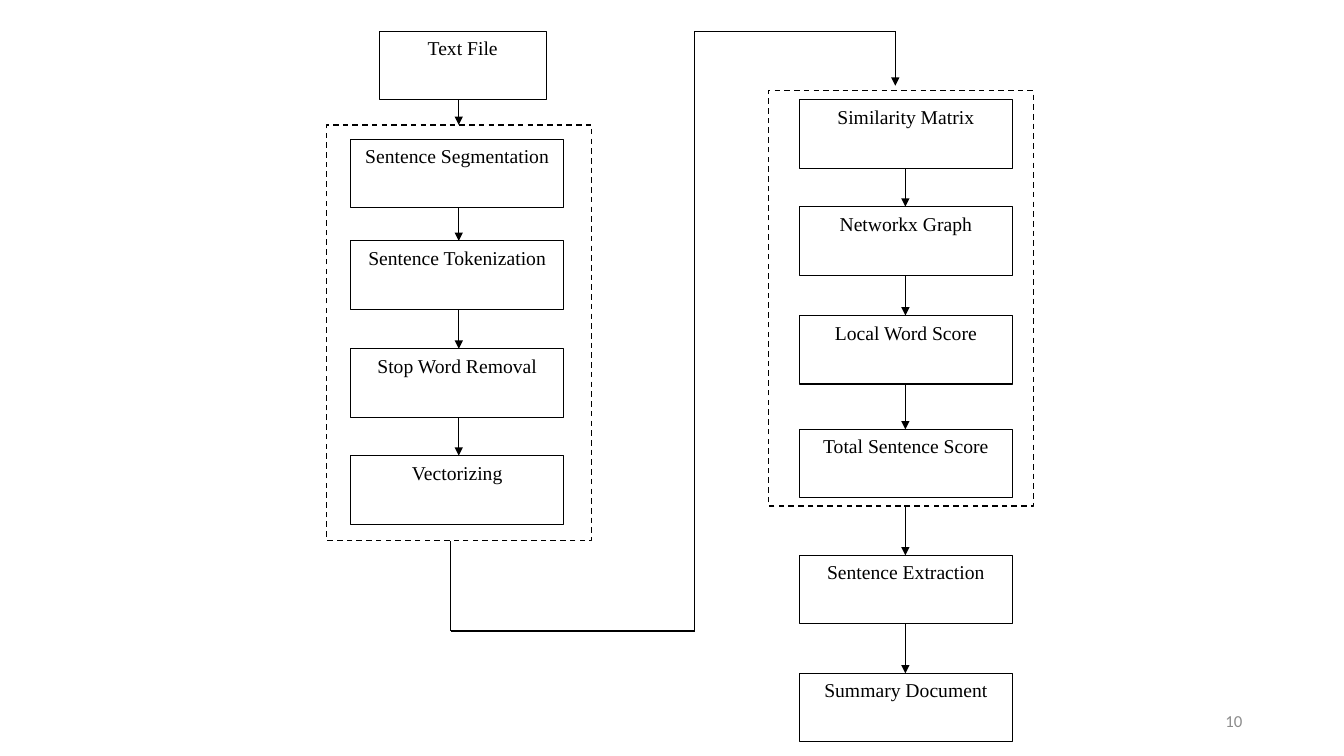
from itertools import pairwise

from pptx import Presentation
from pptx.dml.color import RGBColor
from pptx.enum.dml import MSO_LINE_DASH_STYLE as Dash
from pptx.enum.shapes import MSO_CONNECTOR as Connector, MSO_SHAPE as Shape
from pptx.enum.text import MSO_ANCHOR as Anchor, PP_ALIGN as Align
from pptx.oxml.ns import qn
from pptx.util import Inches, Pt
from lxml.etree import SubElement

COLORS = {"paper": "FFFFFF", "ink": "000000", "muted": "8C8C8C"}
BOX_H = 0.68


def rgb(name):
    return RGBColor.from_string(COLORS[name])


def write(tf, text, font="Times New Roman", size=14, color="ink",
          align=Align.CENTER, anchor=Anchor.TOP):
    tf.word_wrap = True
    tf.vertical_anchor = anchor
    p = tf.paragraphs[0]
    p.alignment = align
    r = p.add_run()
    r.text = text
    r.font.name = font
    r.font.size = Pt(size)
    r.font.color.rgb = rgb(color)


class FlowChart:
    def __init__(self, slide, line_width=0.75):
        self.shapes = slide.shapes
        self.line_width = line_width

    def rect(self, x, y, w, h, width=None):
        sp = self.shapes.add_shape(Shape.RECTANGLE, Inches(x), Inches(y),
                                   Inches(w), Inches(h))
        sp.shadow.inherit = False
        sp.fill.solid()
        sp.fill.fore_color.rgb = rgb("paper")
        sp.line.color.rgb = rgb("ink")
        sp.line.width = Pt(width or self.line_width)
        return sp

    def step(self, text, x, y, w=2.11):
        write(self.rect(x, y, w, BOX_H).text_frame, text)

    def stage(self, x, y):
        self.rect(x, y, 2.63, 4.12, width=1).line.dash_style = Dash.DASH

    def line(self, start, end, arrow=False):
        points = [Inches(v) for v in (*start, *end)]
        cn = self.shapes.add_connector(Connector.STRAIGHT, *points)
        cn.line.color.rgb = rgb("ink")
        cn.line.width = Pt(self.line_width)
        if arrow:
            SubElement(cn.line._get_or_add_ln(), qn("a:tailEnd"), type="triangle")
        SubElement(cn._element.spPr, qn("a:effectLst"))

    def column(self, x, steps):
        for text, y in steps:
            self.step(text, x, y)

    def arrows(self, x, spans):
        for top, bottom in spans:
            self.line((x, top), (x, bottom), arrow=True)

    def label(self, text, x, y, w, h, **fmt):
        tb = self.shapes.add_textbox(Inches(x), Inches(y), Inches(w), Inches(h))
        write(tb.text_frame, text, **fmt)


def gaps(steps):
    """Spans between the bottom of each step and the top of the next."""
    return [(a + BOX_H, b) for (_, a), (_, b) in pairwise(steps)]


def main():
    prs = Presentation()
    prs.slide_width, prs.slide_height = Inches(13.33), Inches(7.5)
    chart = FlowChart(prs.slides.add_slide(prs.slide_layouts[6]))

    # Slide number
    chart.label("10", 9.42, 6.95, 3, 0.4, font="Calibri", size=12,
                color="muted", align=Align.RIGHT, anchor=Anchor.MIDDLE)

    # Preprocessing stage
    preprocessing = [("Sentence Segmentation", 1.38), ("Sentence Tokenization", 2.39),
                     ("Stop Word Removal", 3.46), ("Vectorizing", 4.52)]
    chart.stage(3.24, 1.24)
    chart.step("Text File", 3.76, 0.31, w=1.66)
    chart.column(3.48, preprocessing)
    chart.arrows(4.55, [(0.99, 1.24), *gaps(preprocessing)])

    # Scoring stage
    scoring = [("Similarity Matrix", 0.99), ("Networkx Graph", 2.05),
               ("Local Word Score", 3.13), ("Total Sentence Score", 4.26)]
    chart.stage(7.62, 0.9)
    chart.column(7.93, scoring)
    chart.arrows(8.98, gaps(scoring))

    # Route from preprocessing to scoring
    route = [(4.47, 5.37), (4.47, 6.26), (6.89, 6.26),
             (6.89, 0.31), (8.88, 0.31), (8.88, 0.85)]
    for start, end in pairwise(route):
        chart.line(start, end, arrow=end == route[-1])

    # Extraction and summary
    output = [("Sentence Extraction", 5.51), ("Summary Document", 6.68)]
    chart.column(7.93, output)
    chart.arrows(8.98, [(5.03, 5.51), *gaps(output)])

    prs.save("out.pptx")


if __name__ == "__main__":
    main()
